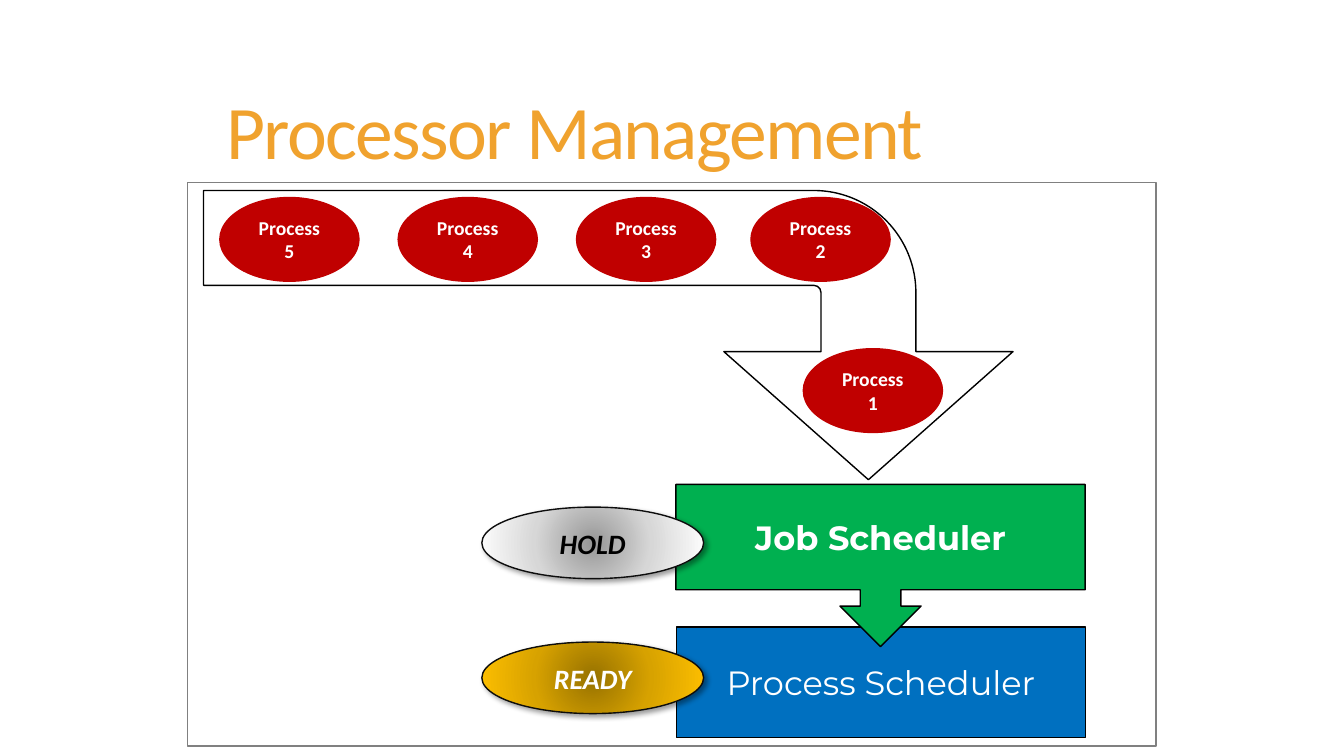
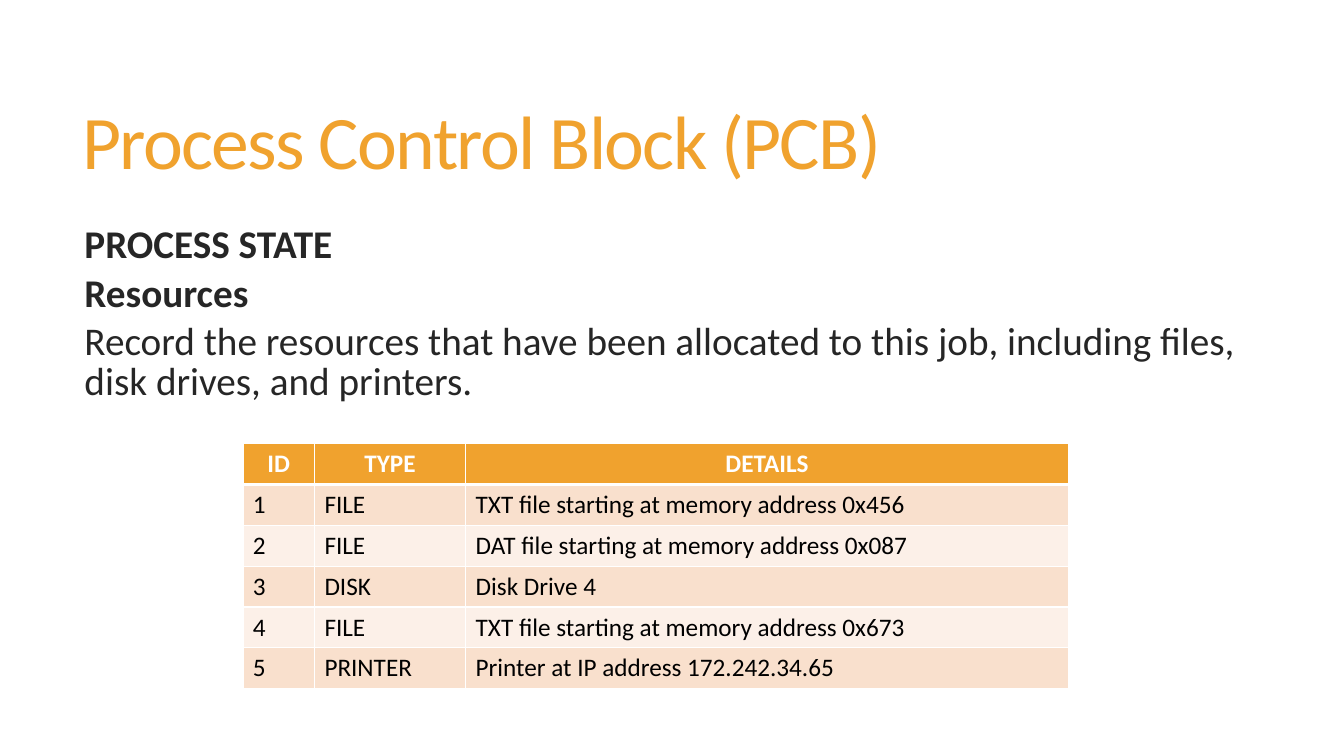
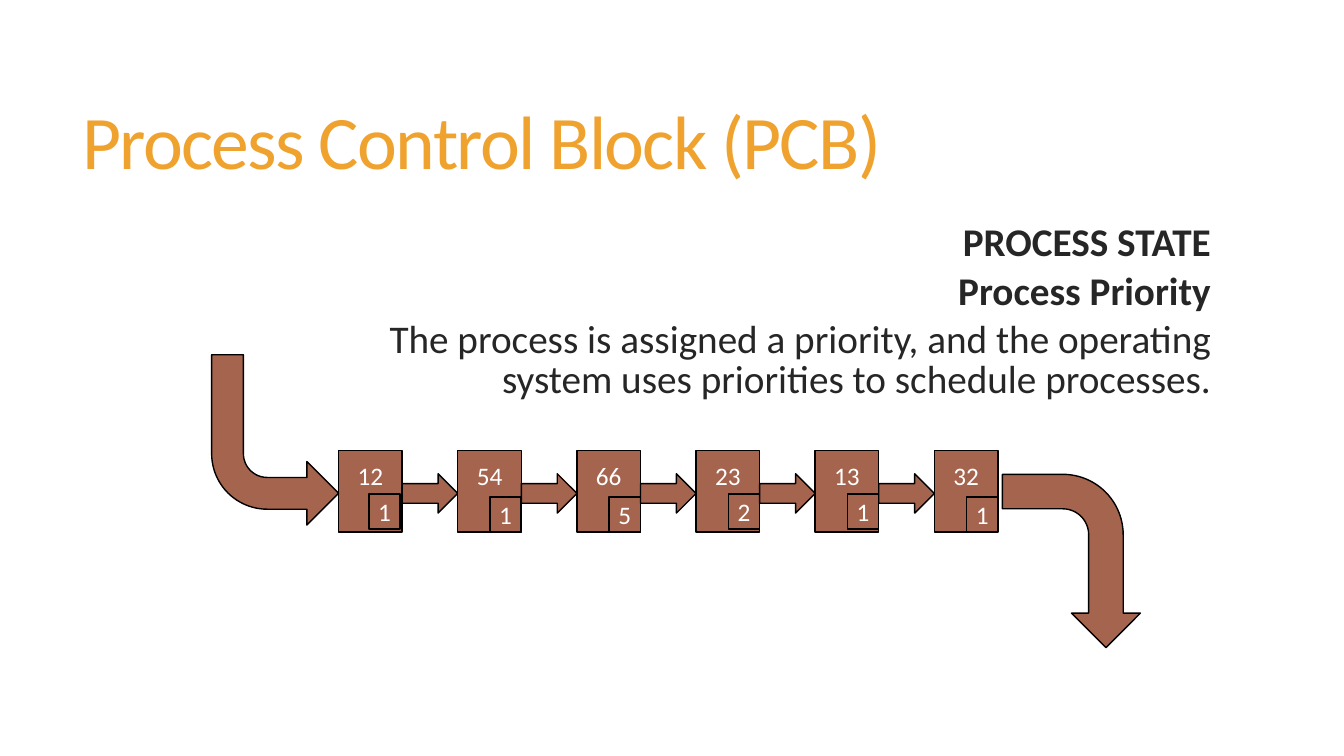
from lxml.etree import SubElement
from pptx import Presentation
from pptx.dml.color import RGBColor
from pptx.enum.shapes import MSO_SHAPE
from pptx.enum.text import MSO_ANCHOR, PP_ALIGN
from pptx.oxml import parse_xml
from pptx.oxml.ns import nsdecls, qn
from pptx.util import Pt

ORANGE, RED, BROWN = "F0A22E", "C00000", "A5644E"
GREEN, BLUE = "00B050", "0070C0"
WHITE, BLACK, GREY, INK = "FFFFFF", "000000", "808080", "262626"
CENTER, LEFT, RIGHT = PP_ALIGN.CENTER, PP_ALIGN.LEFT, PP_ALIGN.RIGHT


def color(value):
    return RGBColor.from_string(value)


class Deck:
    """Holds the shared style and the current slide; boxes are (left, top, width, height) in points."""

    font = "Calibri"

    def __init__(self):
        self.presentation = Presentation()
        self.presentation.slide_width = Pt(960)
        self.presentation.slide_height = Pt(540)
        self.slide = None

    def new_slide(self, title, title_box):
        self.slide = self.presentation.slides.add_slide(self.presentation.slide_layouts[6])
        frame = self.text_frame(title_box, MSO_ANCHOR.MIDDLE)
        paragraph = frame.paragraphs[0]
        paragraph.line_spacing = 0.85
        run = self.run(paragraph, title, 54, ORANGE)
        run.font._element.set("spc", "-120")

    def text_frame(self, box, anchor):
        frame = self.slide.shapes.add_textbox(*map(Pt, box)).text_frame
        frame.word_wrap = True
        frame.vertical_anchor = anchor
        return frame

    def run(self, paragraph, text, size, ink, bold=False, italic=False, font=None):
        run = paragraph.add_run()
        run.text = text
        run.font.name = font or self.font
        run.font.size = Pt(size)
        run.font.bold = bold
        run.font.italic = italic
        run.font.color.rgb = color(ink)
        return run

    def body(self, box, heading, topic, detail, align=LEFT):
        frame = self.text_frame(box, MSO_ANCHOR.TOP)
        for index, (text, bold) in enumerate([(heading, True), (topic, True), (detail, False)]):
            paragraph = frame.paragraphs[0] if index == 0 else frame.add_paragraph()
            paragraph.alignment = align
            paragraph.line_spacing = 0.85
            if index:
                paragraph.space_before = Pt(6)
            self.run(paragraph, text, 28, INK, bold)

    def shape(self, kind, box, fill=None, line=BLACK, rotation=0, flip=False):
        shape = self.slide.shapes.add_shape(kind, *map(Pt, box))
        shape.shadow.inherit = False
        shape.rotation = rotation
        if flip:
            shape._element.spPr.xfrm.set("flipV", "1")
        if fill:
            shape.fill.solid()
            shape.fill.fore_color.rgb = color(fill)
        else:
            shape.fill.background()
        shape.line.color.rgb = color(line)
        shape.line.width = Pt(1)
        return shape

    def label(self, shape, lines, size, ink=WHITE, anchor=MSO_ANCHOR.MIDDLE, **style):
        frame = shape.text_frame
        frame.word_wrap = True
        frame.vertical_anchor = anchor
        for index, text in enumerate(lines):
            paragraph = frame.paragraphs[0] if index == 0 else frame.add_paragraph()
            paragraph.alignment = CENTER
            self.run(paragraph, text, size, ink, **style)
        return frame

    def state(self, box, name, ink, stops):
        """Ellipse with a radial gradient and a soft shadow."""
        shape = self.shape(MSO_SHAPE.OVAL, box, WHITE, "0D0D0D")
        properties = shape._element.spPr
        stop_list = "".join(
            f'<a:gs pos="{position}"><a:srgbClr val="{value}"/></a:gs>'
            for position, value in zip((0, 50000, 100000), stops))
        gradient = parse_xml(
            f'<a:gradFill {nsdecls("a")} rotWithShape="1"><a:gsLst>{stop_list}</a:gsLst>'
            '<a:path path="circle"><a:fillToRect l="50000" t="50000" r="50000" b="50000"/>'
            '</a:path></a:gradFill>')
        properties.replace(properties.find(qn("a:solidFill")), gradient)
        shadow = SubElement(properties.find(qn("a:effectLst")), qn("a:outerShdw"), blurRad=str(Pt(4)),
                            dist=str(Pt(3)), dir="2700000", algn="tl", rotWithShape="0")
        shadow_color = SubElement(shadow, qn("a:srgbClr"), val=BLACK)
        SubElement(shadow_color, qn("a:alpha"), val="40000")
        self.label(shape, [name], 20, ink, bold=True, italic=True)

    def table(self, left, top, widths, row_height, rows):
        box = (left, top, sum(widths), row_height * len(rows))
        table = self.slide.shapes.add_table(len(rows), len(widths), *map(Pt, box)).table
        for column, width in zip(table.columns, widths):
            column.width = Pt(width)
        for row_index, row in enumerate(rows):
            table.rows[row_index].height = Pt(row_height)
            header = row_index == 0
            fill = ORANGE if header else ("FCF0E8", "F9E0CD")[row_index % 2]
            for column_index, text in enumerate(row):
                cell = table.cell(row_index, column_index)
                self.borders(cell, top=3 if row_index == 1 else 1, bottom=3 if header else 1)
                cell.fill.solid()
                cell.fill.fore_color.rgb = color(fill)
                paragraph = cell.text_frame.paragraphs[0]
                paragraph.alignment = CENTER if header else LEFT
                self.run(paragraph, text, 18, WHITE if header else BLACK, header)

    def borders(self, cell, top, bottom):
        properties = cell._tc.get_or_add_tcPr()
        for side, width in (("L", 1), ("R", 1), ("T", top), ("B", bottom)):
            line = SubElement(properties, qn(f"a:ln{side}"), w=str(Pt(width)))
            SubElement(SubElement(line, qn("a:solidFill")), qn("a:srgbClr"), val=WHITE)


def processor_management(deck):
    deck.new_slide("Processor Management", (154.8, 32.4, 636.5, 130.3))
    deck.slide.shapes[0]._element.addprevious(
        deck.shape(MSO_SHAPE.RECTANGLE, (133.9, 130.3, 691.9, 402.5), WHITE, GREY)._element)

    # Queue of processes
    places = [(573.8, 249.1), (536.4, 141.1), (411.8, 141.1), (284.4, 141.1), (157, 141.1)]
    for number, place in enumerate(places, 1):
        process = deck.shape(MSO_SHAPE.OVAL, (*place, 99.4, 59.8), RED, RED)
        deck.label(process, ["Process", str(number)], 14, bold=True)
    queue = deck.shape(MSO_SHAPE.BENT_ARROW, (331.2, -49.7, 206.6, 578.2), rotation=90)
    for index, value in enumerate((0.328, 0.5, 0.443, 0.353)):
        queue.adjustments[index] = value

    # Schedulers
    scheduler = deck.shape(MSO_SHAPE.RECTANGLE, (483.1, 447.8, 292.3, 79.2), BLUE)
    deck.label(scheduler, ["Process Scheduler"], 24, font="Montserrat")
    callout = deck.shape(MSO_SHAPE.RIGHT_ARROW_CALLOUT, (571, 257.8, 115.9, 292.3), GREEN, rotation=90)
    frame = deck.label(callout, ["Job Scheduler"], 24, bold=True, font="Montserrat")
    frame._txBody.bodyPr.set("vert", "vert270")

    # States
    deck.state((344.2, 362.2, 158.4, 51.1), "HOLD", BLACK, ("979797", "D7D7D7", "FFFFFF"))
    deck.state((344.2, 458.6, 158.4, 51.1), "READY", WHITE, ("977200", "D7A200", "FFC000"))


PCB_TITLE = ("Process Control Block (PCB)", (51.8, 39.6, 848.2, 130.3))


def resources(deck):
    deck.new_slide(*PCB_TITLE)
    deck.body((53.3, 158.4, 846.7, 296.6), "PROCESS STATE", "Resources",
              "Record the resources that have been allocated to this job, "
              "including files, disk drives, and printers.")
    deck.table(173.5, 316.8, (51.1, 108, 430.6), 29.2, [
        ("ID", "TYPE", "DETAILS"),
        ("1", "FILE", "TXT file starting at memory address 0x456"),
        ("2", "FILE", "DAT file starting at memory address 0x087"),
        ("3", "DISK", "Disk Drive 4"),
        ("4", "FILE", "TXT file starting at memory address 0x673"),
        ("5", "PRINTER", "Printer at IP address 172.242.34.65"),
    ])


def priority(deck):
    deck.new_slide(*PCB_TITLE)

    # Chain of processes: number, priority, offset of the priority tag
    chain = [("12", "1", 21.6, 31), ("54", "1", 23, 33.1), ("66", "5", 23, 33.1),
             ("23", "2", 23, 31), ("13", "1", 23, 31), ("32", "1", 23, 33.1)]
    first_left, top, width, pitch = 241.9, 321.8, 45.4, 85.1
    for index, (number, level, tag_left, tag_top) in enumerate(chain):
        left = first_left + pitch * index
        process = deck.shape(MSO_SHAPE.RECTANGLE, (left, top, width, 58.3), BROWN)
        frame = deck.label(process, [number], 18, anchor=MSO_ANCHOR.TOP)
        frame.margin_top = Pt(7.2)
        tag = deck.shape(MSO_SHAPE.RECTANGLE, (left + tag_left, top + tag_top, 22.3, 25.2), BROWN)
        frame = deck.label(tag, [level], 18)
        frame.margin_left = frame.margin_right = 0
        if index < len(chain) - 1:
            deck.shape(MSO_SHAPE.RIGHT_ARROW, (left + width, 338.4, pitch - width, 28.1), BROWN)

    # Arrows into and out of the chain
    deck.shape(MSO_SHAPE.BENT_ARROW, (151.2, 253.4, 90.7, 121.7), BROWN, flip=True)
    deck.shape(MSO_SHAPE.BENT_ARROW, (703.4, 351.4, 123.8, 98.6), BROWN, rotation=90)

    deck.body((231.1, 157, 640.8, 296.6), "PROCESS STATE", "Process Priority",
              "The process is assigned a priority, and the operating system "
              "uses priorities to schedule processes.", RIGHT)


def main():
    deck = Deck()
    processor_management(deck)
    resources(deck)
    priority(deck)
    deck.presentation.save("out.pptx")


if __name__ == "__main__":
    main()
